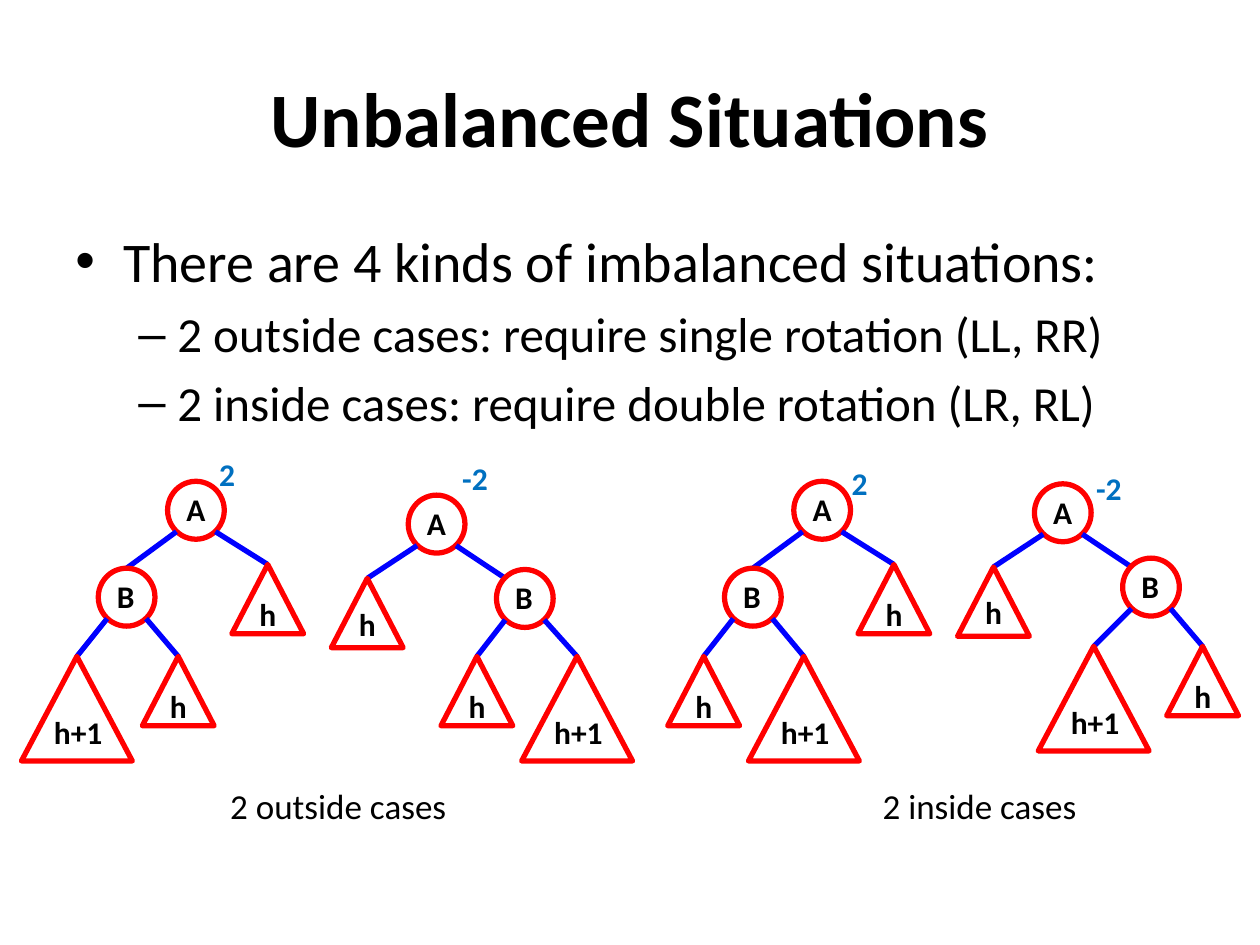
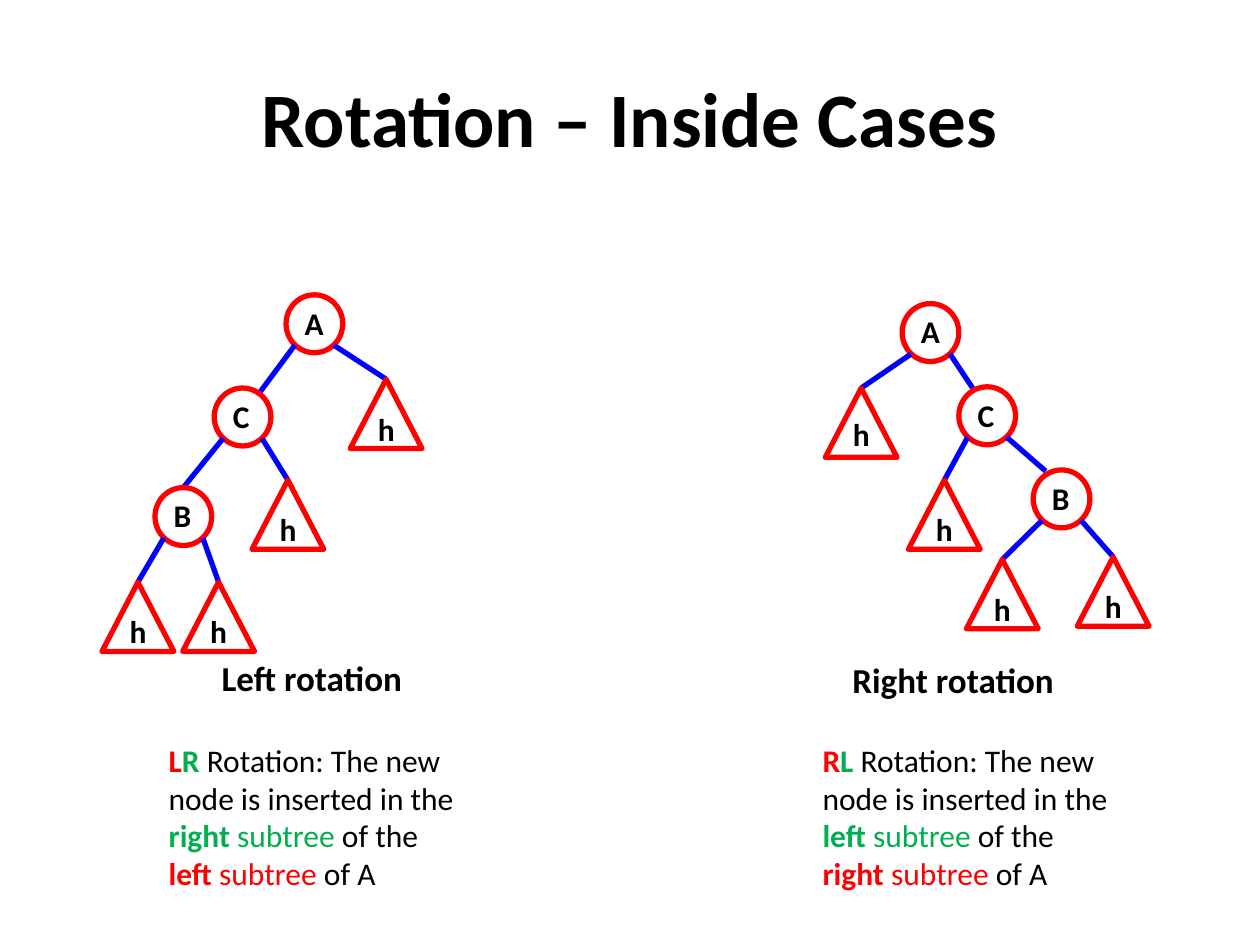
from dataclasses import dataclass
from typing import Optional

from lxml import etree
from pptx import Presentation
from pptx import util as u
from pptx.dml.color import RGBColor
from pptx.enum import shapes, text
from pptx.oxml import ns

BLACK, RED, BLUE, GREEN, MARK = "000000", "FF0000", "0000FF", "00B050", "0070C0"
FONT = "Calibri"
LABEL_INSETS = (0.1, 0.15)
CENTER = text.PP_ALIGN.CENTER
OVAL = shapes.MSO_SHAPE.OVAL
TRIANGLE = shapes.MSO_SHAPE.ISOSCELES_TRIANGLE

# kind: preset, width, height, label dx, label dy, label width
KINDS = {
    "circle": (OVAL, 0.45, 0.46, 0.05, -0.08, 0.45),
    "leaf": (TRIANGLE, 0.57, 0.55, 0.12, 0.09, 0.45),
    "raised": (TRIANGLE, 0.57, 0.55, 0.12, 0.06, 0.45),
    "tall": (TRIANGLE, 0.88, 0.83, 0.16, 0.3, 0.74),
}
RIM = {"left": (0.07, 0.4), "right": (0.38, 0.4)}


@dataclass
class Node:
    """A tree node, placed relative to its tree; join is where its edge arrives."""
    kind: str
    label: str
    x: float
    y: float
    left: Optional["Node"] = None
    right: Optional["Node"] = None
    join: Optional[tuple] = None


def color(value):
    """Turn a hex string into a colour."""
    return RGBColor.from_string(value)


def add_run(p, words, size, ink=BLACK, bold=False):
    """Add one formatted run to a paragraph."""
    r = p.add_run()
    r.text = words
    r.font.name, r.font.size, r.font.bold = FONT, u.Pt(size), bold
    r.font.color.rgb = color(ink)


def add_text(s, box, runs, size, align=None, insets=(0.1, 0.05), anchor=text.MSO_ANCHOR.TOP):
    """Add a wrapped text box holding one paragraph of (words, ink, bold) runs."""
    tf = s.shapes.add_textbox(*map(u.Inches, box)).text_frame
    tf.word_wrap = True
    tf.vertical_anchor = anchor
    tf.margin_left = tf.margin_right = u.Inches(insets[0])
    tf.margin_top = tf.margin_bottom = u.Inches(insets[1])
    p = tf.paragraphs[0]
    p.alignment = align
    for words, ink, bold in runs:
        add_run(p, words, size, ink, bold)
    return tf


def add_label(s, x, y, width, words, ink=BLACK):
    """Add a bold label such as a node name or balance factor."""
    add_text(s, (x, y, width, 0.61), [(words, ink, True)], 18, insets=LABEL_INSETS)


def add_title(s, words):
    """Add the slide title."""
    add_text(s, (0.5, 0.3, 9, 1.25), [(words, BLACK, True)], 44, CENTER,
             anchor=text.MSO_ANCHOR.MIDDLE)


def add_caption(s, x, y, words, bold=False):
    """Add a centred caption below the trees."""
    add_text(s, (x, y, 2.97, 0.64), [(words, BLACK, bold)], 20, CENTER, LABEL_INSETS)


def add_bullets(s, box, items):
    """Add a two-level bulleted list of (level, words)."""
    levels = [(32, 0.38, -0.38, "•"), (28, 0.81, -0.31, "–")]
    tf = add_text(s, box, [], 32)
    for i, (level, words) in enumerate(items):
        size, margin, indent, bullet = levels[level]
        p = tf.add_paragraph() if i else tf.paragraphs[0]
        p.level = level
        p.space_before = u.Pt(size * 0.2)
        add_run(p, words, size)
        pr = p._p.get_or_add_pPr()
        pr.set("marL", str(u.Inches(margin)))
        pr.set("indent", str(u.Inches(indent)))
        etree.SubElement(pr, ns.qn("a:buFont")).set("typeface", "Arial")
        etree.SubElement(pr, ns.qn("a:buChar")).set("char", bullet)


def set_line(line, ink):
    """Give an outline or edge its colour, width and round joins."""
    line.color.rgb = color(ink)
    line.width = u.Pt(3)
    etree.SubElement(line._get_or_add_ln(), ns.qn("a:round"))


def add_edge(s, start, end):
    """Draw a line between two points."""
    c = s.shapes.add_connector(shapes.MSO_CONNECTOR.STRAIGHT, *map(u.Inches, start + end))
    set_line(c.line, BLUE)
    etree.SubElement(c._element.spPr, ns.qn("a:effectLst"))


def add_tree(s, x, y, node):
    """Draw a node and everything below it in a tree placed at x, y."""
    preset, width, height, dx, dy, label_width = KINDS[node.kind]
    left, top = x + node.x, y + node.y
    sp = s.shapes.add_shape(preset, *map(u.Inches, (left, top, width, height)))
    sp.shadow.inherit = False
    sp.fill.background()
    set_line(sp.line, RED)
    for side, child in (("left", node.left), ("right", node.right)):
        if child:
            join_x, join_y = child.join or (KINDS[child.kind][1] / 2, 0)
            rim_x, rim_y = RIM[side]
            add_edge(s, (x + child.x + join_x, y + child.y + join_y),
                     (left + rim_x, top + rim_y))
            add_tree(s, x, y, child)
    add_label(s, left + dx, top + dy, label_width, node.label)


def left_heavy(*children):
    """Return a tree whose left child B has the given children."""
    return Node("circle", "A", 1.16, 0, Node("circle", "B", 0.61, 0.69, *children),
                Node("leaf", "h", 1.67, 0.66))


def right_heavy(*children):
    """Return a tree whose right child B has the given children."""
    return Node("circle", "A", 0.61, 0, Node("raised", "h", 0, 0.66),
                Node("circle", "B", 1.31, 0.59, *children, join=(0.07, 0.07)))


def situations_slide(s):
    """Build the slide of the four unbalanced situations."""
    add_title(s, "Unbalanced Situations")
    add_bullets(s, (0.5, 1.75, 9, 4.95), [
        (0, "There are 4 kinds of imbalanced situations:"),
        (1, "2 outside cases: require single rotation (LL, RR)"),
        (1, "2 inside cases: require double rotation (LR, RL)"),
    ])
    cases = [
        (0.17, 3.82, left_heavy(Node("tall", "h+1", 0, 1.39), Node("leaf", "h", 0.96, 1.39)),
         "2", 1.47, -0.36),
        (2.63, 3.93, right_heavy(Node("leaf", "h", 0.87, 1.28), Node("tall", "h+1", 1.51, 1.28)),
         "-2", 0.94, -0.44),
        (5.14, 3.82, left_heavy(Node("leaf", "h", 0.16, 1.39), Node("tall", "h+1", 0.8, 1.39)),
         "2", 1.52, -0.29),
        (7.6, 3.84, right_heavy(Node("tall", "h+1", 0.64, 1.29), Node("leaf", "h", 1.66, 1.29)),
         "-2", 1, -0.27),
    ]
    for x, y, tree, balance, dx, dy in cases:
        add_tree(s, x, y, tree)
        add_label(s, x + dx, y + dy, 0.55, balance, MARK)
    add_caption(s, 1.2, 6.08, "2 outside cases")
    add_caption(s, 6.29, 6.08, "2 inside cases")


def add_explanation(s, x, y, outer, inner):
    """Explain an inside case by its outer and inner sides."""
    add_text(s, (x, y, 2.5, 1.31), [
        (outer[0].upper(), RED, True), (inner[0].upper(), GREEN, True),
        (" Rotation: The new node is inserted in the ", BLACK, False),
        (inner, GREEN, True), (" subtree", GREEN, False), (" of the ", BLACK, False),
        (outer, RED, True), (" subtree", RED, False), (" of A", BLACK, False),
    ], 18)


def rotation_slide(s):
    """Build the slide of the rotated inside cases."""
    add_title(s, "Rotation – Inside Cases")
    b = Node("circle", "B", 0.42, 1.53, Node("leaf", "h", 0, 2.28), Node("leaf", "h", 0.64, 2.28))
    c = Node("circle", "C", 0.89, 0.74, b, Node("leaf", "h", 1.19, 1.47), join=(0.35, 0.05))
    add_tree(s, 0.81, 2.34, Node("circle", "A", 1.46, 0, c, Node("leaf", "h", 1.97, 0.67)))

    b = Node("circle", "B", 1.65, 1.32, Node("leaf", "h", 1.12, 2.03),
             Node("leaf", "h", 2, 2.01), join=(0.1, 0.01))
    c = Node("circle", "C", 1.06, 0.66, Node("leaf", "h", 0.66, 1.4), b, join=(0.11, 0.01))
    add_tree(s, 6.55, 2.41, Node("circle", "A", 0.61, 0, Node("raised", "h", 0, 0.67), c))

    add_caption(s, 0.99, 5.06, "Left rotation", True)
    add_caption(s, 6.08, 5.08, "Right rotation", True)
    add_explanation(s, 1.24, 5.83, "left", "right")
    add_explanation(s, 6.43, 5.83, "right", "left")


def main():
    """Build and save the presentation."""
    prs = Presentation()
    prs.slide_width, prs.slide_height = u.Inches(10), u.Inches(7.5)
    for build in (situations_slide, rotation_slide):
        build(prs.slides.add_slide(prs.slide_layouts[6]))
    prs.save("out.pptx")


if __name__ == "__main__":
    main()
